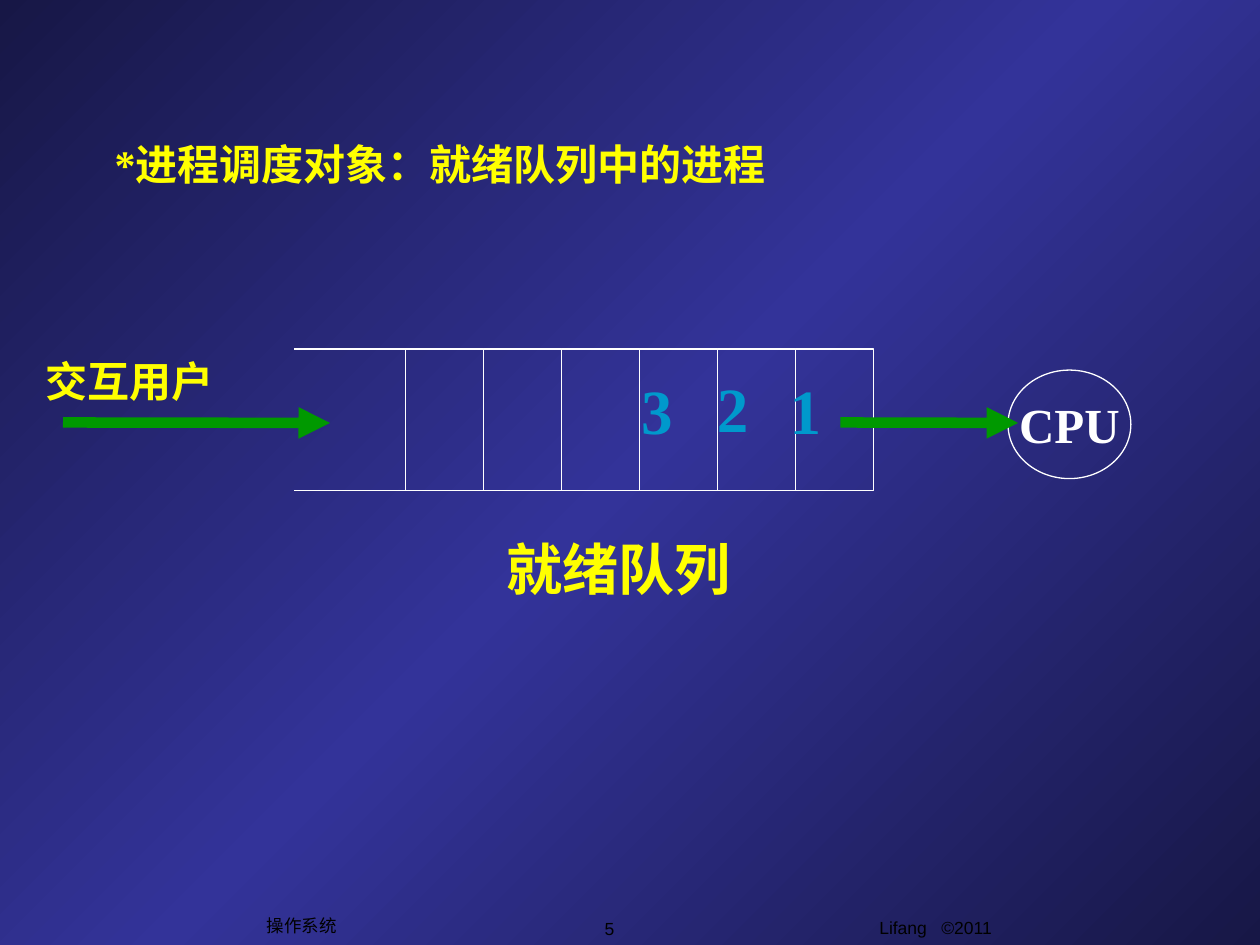
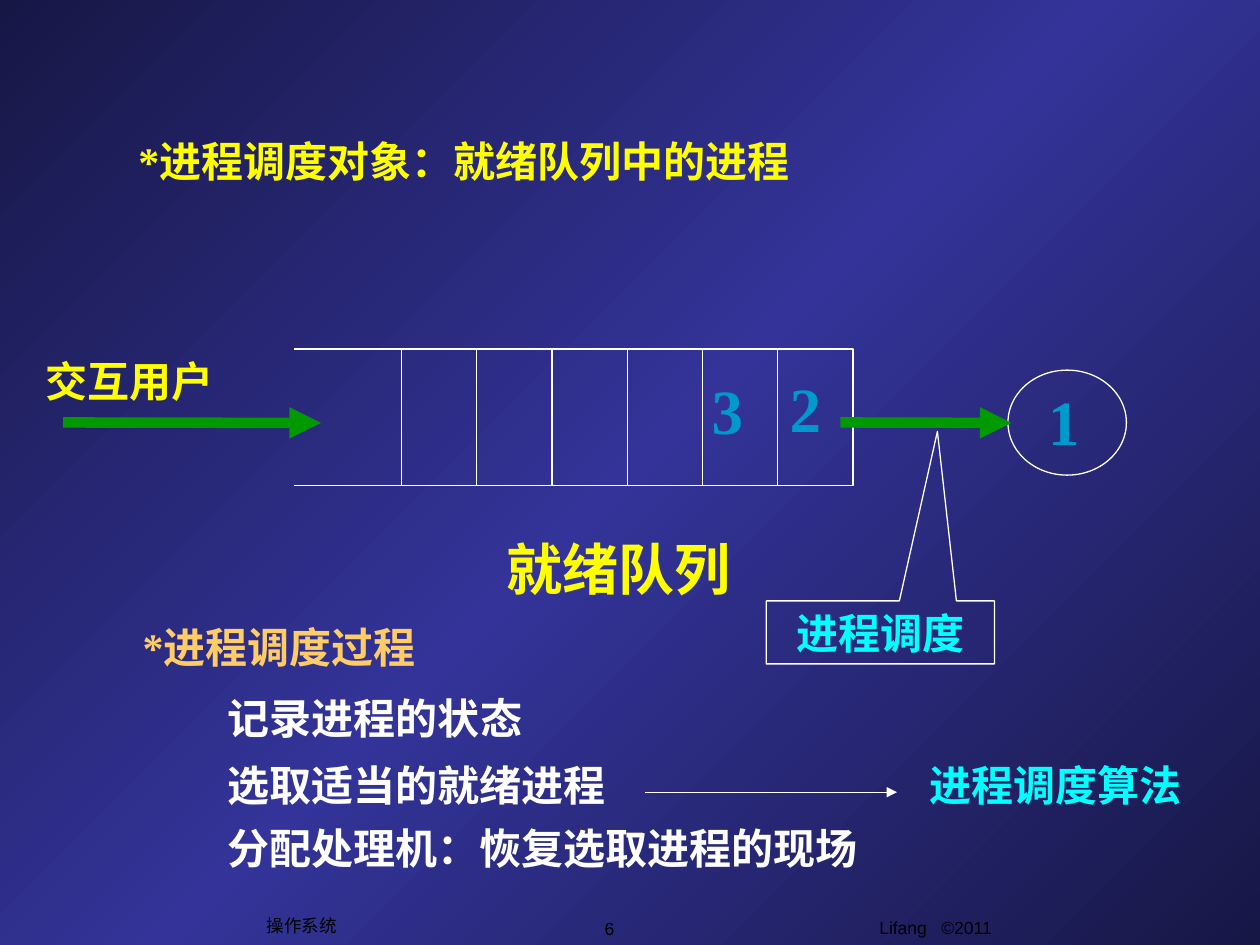
from copy import deepcopy

from lxml import etree
from pptx import Presentation
from pptx.dml.color import RGBColor
from pptx.enum import shapes, text
from pptx.oxml.ns import qn
from pptx.util import Pt

NIGHT, INDIGO = "171746", "333399"
WHITE, BLACK, YELLOW = "FFFFFF", "000000", "FFFF00"
CYAN, TEAL, GREEN, ORANGE = "00FFFF", "0099CC", "009900", "FFCC66"
SERIF, SANS = "Times New Roman", "Arial"
HEADING = "*进程调度对象：就绪队列中的进程"
FIRST_NUMBER = 5
QUEUE_TOP, RAIL_LEFT, CELLS = 199.4, 167.8, 6
LEFT, CENTER = text.PP_ALIGN.LEFT, text.PP_ALIGN.CENTER
TOP, MIDDLE = text.MSO_ANCHOR.TOP, text.MSO_ANCHOR.MIDDLE


def rgb(color):
    return RGBColor.from_string(color)


def paint_background(master):
    """Diagonal gradient: dark corners, bright middle."""
    fill = master.background.fill
    fill.gradient()
    fill.gradient_angle = 315
    stops = master.element.find(".//" + qn("a:gsLst"))
    stops.append(deepcopy(stops[-1]))
    for stop, position, color in zip(fill.gradient_stops, (0, 0.5, 1), (NIGHT, INDIGO, NIGHT)):
        stop.position = position
        stop.color.rgb = rgb(color)


class Deck:
    def __init__(self):
        self.presentation = Presentation()
        self.presentation.slide_width = Pt(720)
        self.presentation.slide_height = Pt(540)
        self.presentation.element.set("firstSlideNum", str(FIRST_NUMBER))
        paint_background(self.presentation.slide_master)
        self.slide = None

    def new_slide(self):
        slides = self.presentation.slides
        self.slide = slides.add_slide(self.presentation.slide_layouts[6])
        self.box("Lifang   ©2011", 420.5, 520.6, 228.2, 25.2, BLACK, 10, SANS, CENTER)
        number = self.label(str(FIRST_NUMBER + len(slides) - 1), 338.4, 521.3, BLACK, 10, SANS)
        run = number.element.find(".//" + qn("a:r"))
        run.tag = qn("a:fld")
        run.set("id", "{B6F15528-21DE-4FAA-801E-634DDDAF4B2B}")
        run.set("type", "slidenum")
        self.label("操作系统", 145.4, 519.1, BLACK, 10, SANS)

    def set_text(self, shape, words, color, size=24, font=SERIF, align=LEFT, anchor=TOP, wrap=True):
        frame = shape.text_frame
        frame.word_wrap = wrap
        frame.vertical_anchor = anchor
        paragraph = frame.paragraphs[0]
        paragraph.text = words
        paragraph.alignment = align
        paragraph.font.name = font
        paragraph.font.size = Pt(size)
        paragraph.font.bold = font == SERIF
        paragraph.font.color.rgb = rgb(color)

    def box(self, words, left, top, width, height, color, size=24, font=SERIF,
            align=LEFT, anchor=TOP, wrap=True):
        shape = self.slide.shapes.add_textbox(Pt(left), Pt(top), Pt(width), Pt(height))
        self.set_text(shape, words, color, size, font, align, anchor, wrap)
        return shape

    def label(self, words, left, top, color, size=24, font=SERIF):
        """One line in a box fitted to it; ASCII counts as half a character."""
        width = sum(0.5 if char.isascii() else 1 for char in words) * size + 14.4
        shape = self.box(words, left, top, width, 1.2 * size + 7.2, color, size, font, wrap=False)
        shape.text_frame.auto_size = text.MSO_AUTO_SIZE.SHAPE_TO_FIT_TEXT
        return shape

    def outline(self, kind, left, top, width, height):
        shape = self.slide.shapes.add_shape(kind, Pt(left), Pt(top), Pt(width), Pt(height))
        shape.shadow.inherit = False
        shape.fill.background()
        shape.line.color.rgb = rgb(WHITE)
        shape.line.width = Pt(0.75)
        return shape

    def line(self, x1, y1, x2, y2, color=WHITE, weight=0.75, arrow=False):
        connector = self.slide.shapes.add_connector(
            shapes.MSO_CONNECTOR.STRAIGHT, Pt(x1), Pt(y1), Pt(x2), Pt(y2))
        connector.line.color.rgb = rgb(color)
        connector.line.width = Pt(weight)
        if arrow:
            stroke = connector.element.find(".//" + qn("a:ln"))
            etree.SubElement(stroke, qn("a:tailEnd"), type="triangle")
        etree.SubElement(connector.element.spPr, qn("a:effectLst"))

    def queue(self, left, cell_width, height):
        """Row of cells with two open rails on the left."""
        for cell in reversed(range(CELLS)):
            self.outline(shapes.MSO_SHAPE.RECTANGLE, left + cell * cell_width,
                         QUEUE_TOP, cell_width, height)
        for y in (QUEUE_TOP, QUEUE_TOP + height):
            self.line(left + 6.3, y, RAIL_LEFT, y)

    def scheduling(self, cell_left, cell_width, height, entry_end, exit_end, cpu_size, processes):
        """Users feed the ready queue, which feeds the processor; returns the processor."""
        self.queue(cell_left, cell_width, height)
        cpu = self.outline(shapes.MSO_SHAPE.OVAL, 576, 211.5, *cpu_size)
        self.label("就绪队列", 282.2, 301.7, YELLOW, 32)
        self.label("交互用户", 18.7, 199.4, YELLOW)
        for start, end in ((36, entry_end), (480.2, exit_end)):
            self.line(start, 241.4, end, 241.7, GREEN, 6, arrow=True)
        for process, left, top in processes:
            self.label(process, left, top, TEAL, 36)
        return cpu

    def callout(self, words, left, top, width, height, tip):
        shape = self.outline(shapes.MSO_SHAPE.RECTANGULAR_CALLOUT, left, top, width, height)
        for index, offset in enumerate(tip):
            shape.adjustments[index] = offset
        self.set_text(shape, words, CYAN, align=CENTER)


def queue_slide(deck):
    deck.new_slide()
    cpu = deck.scheduling(231.8, 44.57, 80.8, 188.6, 581.8, (70.2, 62),
                          [("1", 444.2, 208.8), ("2", 402.5, 207.4), ("3", 359.3, 208.8)])
    deck.set_text(cpu, "CPU", WHITE, 28, align=CENTER, anchor=MIDDLE, wrap=False)
    deck.box(HEADING, 58.4, 46.8, 649.4, 93.6, YELLOW, anchor=MIDDLE)


def dispatch_slide(deck):
    deck.new_slide()
    deck.scheduling(229.4, 43, 78, 183.4, 578, (67.7, 60),
                    [("3", 399.6, 208.8), ("2", 444.2, 207.4), ("1", 591.8, 215.3)])
    deck.callout("进程调度", 437.9, 343.4, 130.4, 36, (0.25, -3.19))
    steps = [("记录进程的状态", 392.4), ("选取适当的就绪进程", 430.6),
             ("分配处理机：恢复选取进程的现场", 466.6)]
    for step, top in steps:
        deck.label(step, 123.2, top, WHITE)
    deck.line(368.6, 452.7, 512.6, 452.7, arrow=True)
    deck.label("进程调度算法", 524.2, 430.6, CYAN)
    deck.box("*进程调度过程", 67.7, 357.8, 183.6, 23.8, ORANGE, align=CENTER, anchor=MIDDLE)
    deck.box(HEADING, 72, 46.8, 625.7, 90, YELLOW, anchor=MIDDLE)


def main():
    deck = Deck()
    queue_slide(deck)
    dispatch_slide(deck)
    deck.presentation.save("out.pptx")


if __name__ == "__main__":
    main()
